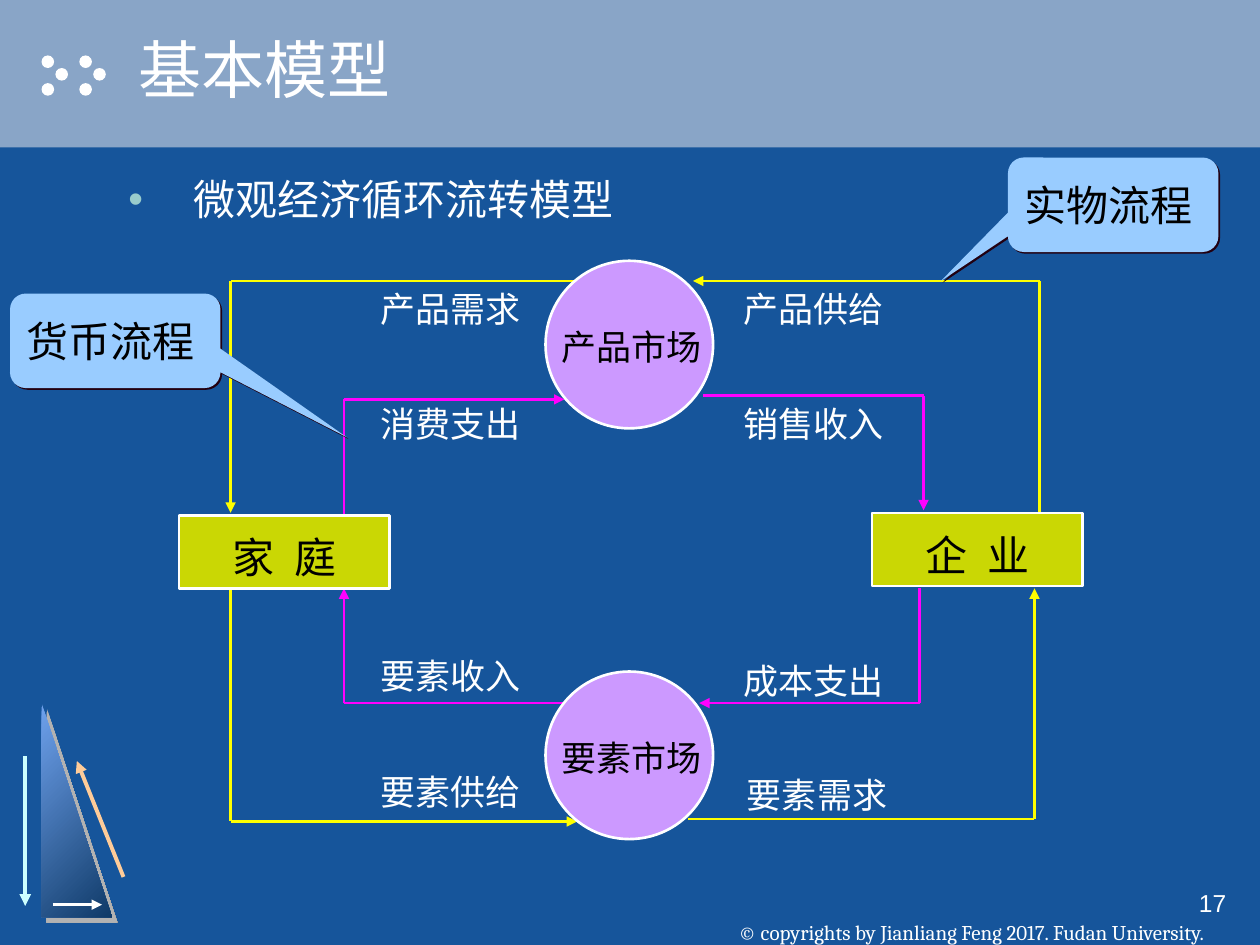
from lxml import etree
from pptx import Presentation
from pptx.dml.color import RGBColor
from pptx.enum.shapes import MSO_CONNECTOR as Conn, MSO_SHAPE as Shape
from pptx.enum.text import MSO_ANCHOR as Anchor, PP_ALIGN as Align
from pptx.oxml.ns import qn
from pptx.util import Inches, Pt

COLORS = {
    "background": "16559B", "band": "89A5C7", "white": "FFFFFF", "black": "000000",
    "goods": "FFFF00", "money": "FF00FF", "market": "CC99FF", "agent": "CAD704",
    "callout": "99CCFF", "callout_shadow": "220011", "bullet": "99CCCC",
    "light": "6FA2ED", "dark": "0F3A68", "gray": "B2B2B2",
    "down": "CCFFFF", "up": "FFCC99",
}
CJK = "Noto Sans CJK SC"


def rgb(name):
    return RGBColor.from_string(COLORS[name])


class Deck:
    def __init__(self):
        self.prs = Presentation()
        self.prs.slide_width, self.prs.slide_height = Inches(10), Inches(7.5)
        self.s = self.prs.slides.add_slide(self.prs.slide_layouts[6])
        self.s.background.fill.solid()
        self.s.background.fill.fore_color.rgb = rgb("background")

    def add_shadow(self, effects, color, distance):
        shadow = etree.SubElement(effects, qn("a:outerShdw"), dist=str(Pt(distance)),
                                  dir="2700000", algn="ctr", rotWithShape="0")
        etree.SubElement(shadow, qn("a:srgbClr"), val=COLORS[color])

    def shape(self, kind, box, fill, outline=None, shadow=None):
        sp = self.s.shapes.add_shape(kind, *map(Inches, box))
        if isinstance(fill, tuple):
            sp.fill.gradient()
            sp.fill.gradient_angle = 315
            for stop, color in zip(sp.fill.gradient_stops, fill):
                stop.color.rgb = rgb(color)
        else:
            sp.fill.solid()
            sp.fill.fore_color.rgb = rgb(fill)
        if outline:
            sp.line.color.rgb = rgb(outline)
            sp.line.width = Pt(1.5)
        else:
            sp.line.fill.background()
        sp.shadow.inherit = False
        if shadow:
            self.add_shadow(sp._element.spPr.find(qn("a:effectLst")), *shadow)
        return sp

    def set_text(self, sp, text, size, color="white", font=CJK, align=Align.LEFT,
                 anchor=Anchor.TOP, wrap=True, spacing=None):
        tf = sp.text_frame
        tf.text = text
        tf.word_wrap = wrap
        tf.vertical_anchor = anchor
        p = tf.paragraphs[0]
        p.alignment = align
        if spacing:
            p.line_spacing = spacing
        r = p.runs[0]
        r.font.size = Pt(size)
        r.font.name = font
        r.font.color.rgb = rgb(color)
        latin = r._r.rPr.find(qn("a:latin"))
        latin.addnext(etree.Element(qn("a:ea"), typeface=CJK))
        return p

    def text(self, box, text, size, **style):
        sp = self.s.shapes.add_textbox(*map(Inches, box))
        return self.set_text(sp, text, size, **style)

    def title(self, box, text):
        p = self.text(box, text, 36, font="Arial", anchor=Anchor.MIDDLE)
        effects = etree.Element(qn("a:effectLst"))
        self.add_shadow(effects, "black", 1.5)
        p.runs[0]._r.rPr.find(qn("a:latin")).addprevious(effects)

    def bullet(self, box, text):
        p = self.text(box, text, 24, font="Arial")
        pPr = p._p.get_or_add_pPr()
        pPr.set("marL", str(Inches(0.52)))
        pPr.set("indent", str(Inches(-0.52)))
        color = etree.SubElement(pPr, qn("a:buClr"))
        etree.SubElement(color, qn("a:srgbClr"), val=COLORS["bullet"])
        etree.SubElement(pPr, qn("a:buFont"), typeface="Arial")
        etree.SubElement(pPr, qn("a:buChar"), char="•")

    def line(self, start, end, color, width=1.5, arrow=True):
        cxn = self.s.shapes.add_connector(Conn.STRAIGHT, *map(Inches, start + end))
        cxn.line.color.rgb = rgb(color)
        cxn.line.width = Pt(width)
        if arrow:
            etree.SubElement(cxn.line._get_or_add_ln(), qn("a:tailEnd"), type="triangle")
        etree.SubElement(cxn._element.spPr, qn("a:effectLst"))

    def label(self, left, top, text, color="white"):
        self.text((left, top, 1.33, 0.5), text, 20, color=color, spacing=1.2)

    def flow(self, color, start, corner, end, text, left, top):
        self.line(start, corner, color, arrow=False)
        self.line(corner, end, color)
        self.label(left, top, text)

    def market(self, top, text):
        self.shape(Shape.OVAL, (4.33, top, 1.33, 1.33), "market", "white")
        self.label(4.36, top + 0.4, text, "black")

    def agent(self, left, top, text):
        sp = self.shape(Shape.RECTANGLE, (left, top, 1.67, 0.58), "agent", "white")
        p = self.set_text(sp, text, 24, "black", align=Align.CENTER,
                          anchor=Anchor.MIDDLE, spacing=1.2)
        p.runs[0]._r.rPr.set("spc", "300")

    def callout(self, left, top, tip, text):
        sp = self.shape(Shape.ROUNDED_RECTANGULAR_CALLOUT, (left, top, 1.67, 0.75),
                        "callout", shadow=("callout_shadow", 1.4))
        sp.adjustments[0], sp.adjustments[1] = tip
        self.set_text(sp, text, 24, "black", "Times New Roman", anchor=Anchor.MIDDLE)


def main():
    deck = Deck()

    deck.shape(Shape.RECTANGLE, (0, 0, 10, 1.17), "band")
    for group_left in (0.33, 0.63):
        for dx, top in ((0, 0.44), (0.11, 0.54), (0, 0.66)):
            deck.shape(Shape.OVAL, (group_left + dx, top, 0.1, 0.1), "white")
    deck.shape(Shape.RIGHT_TRIANGLE, (0.33, 5.58, 0.56, 1.7), ("light", "dark"),
               shadow=("gray", 4.2))
    deck.line((0.2, 6), (0.2, 7.19), "down", 2.25)
    deck.line((0.98, 6.96), (0.61, 6.04), "up", 2.25)
    deck.line((0.42, 7.18), (0.81, 7.18), "white")

    footer = deck.text((5.42, 7, 4.58, 0.5),
                       "© copyrights by Jianliang Feng 2017. Fudan University.", 12,
                       font="Cambria", align=Align.CENTER, anchor=Anchor.BOTTOM, wrap=False)
    footer._parent.margin_top = footer._parent.margin_bottom = 0
    deck.text((7.75, 7, 2.08, 0.5), "17", 14, font="Arial", align=Align.RIGHT)
    deck.title((1, 0, 9, 1.08), "基本模型")
    deck.bullet((0.92, 1.33, 8.17, 5), "微观经济循环流转模型")

    flows = [
        ("money", (7.3, 4.67), (7.3, 5.58), (5.55, 5.58), "成本支出", 5.8, 5.12),
        ("goods", (5.46, 6.5), (8.21, 6.5), (8.21, 4.67), "要素需求", 5.83, 6.02),
        ("money", (5.58, 3.14), (7.33, 3.14), (7.33, 4.05), "销售收入", 5.8, 3.08),
        ("goods", (8.25, 4.07), (8.25, 2.23), (5.5, 2.23), "产品供给", 5.8, 2.17),
        ("goods", (4.58, 2.23), (1.83, 2.23), (1.83, 4.07), "产品需求", 2.92, 2.17),
        ("money", (2.73, 4.08), (2.73, 3.17), (4.48, 3.17), "消费支出", 2.92, 3.08),
        ("money", (4.48, 5.58), (2.73, 5.58), (2.73, 4.67), "要素收入", 2.92, 5.08),
        ("goods", (1.83, 4.68), (1.83, 6.52), (4.58, 6.52), "要素供给", 2.92, 6),
    ]
    for flow in flows:
        deck.flow(*flow)

    deck.market(2.07, "产品市场")
    deck.market(5.33, "要素市场")
    deck.agent(6.92, 4.07, "企 业")
    deck.agent(1.42, 4.09, "家 庭")
    deck.callout(8, 1.25, (-0.82, 0.81), "实物流程")
    deck.callout(0.08, 2.33, (1.1, 1.02), "货币流程")

    deck.prs.save("out.pptx")


if __name__ == "__main__":
    main()
